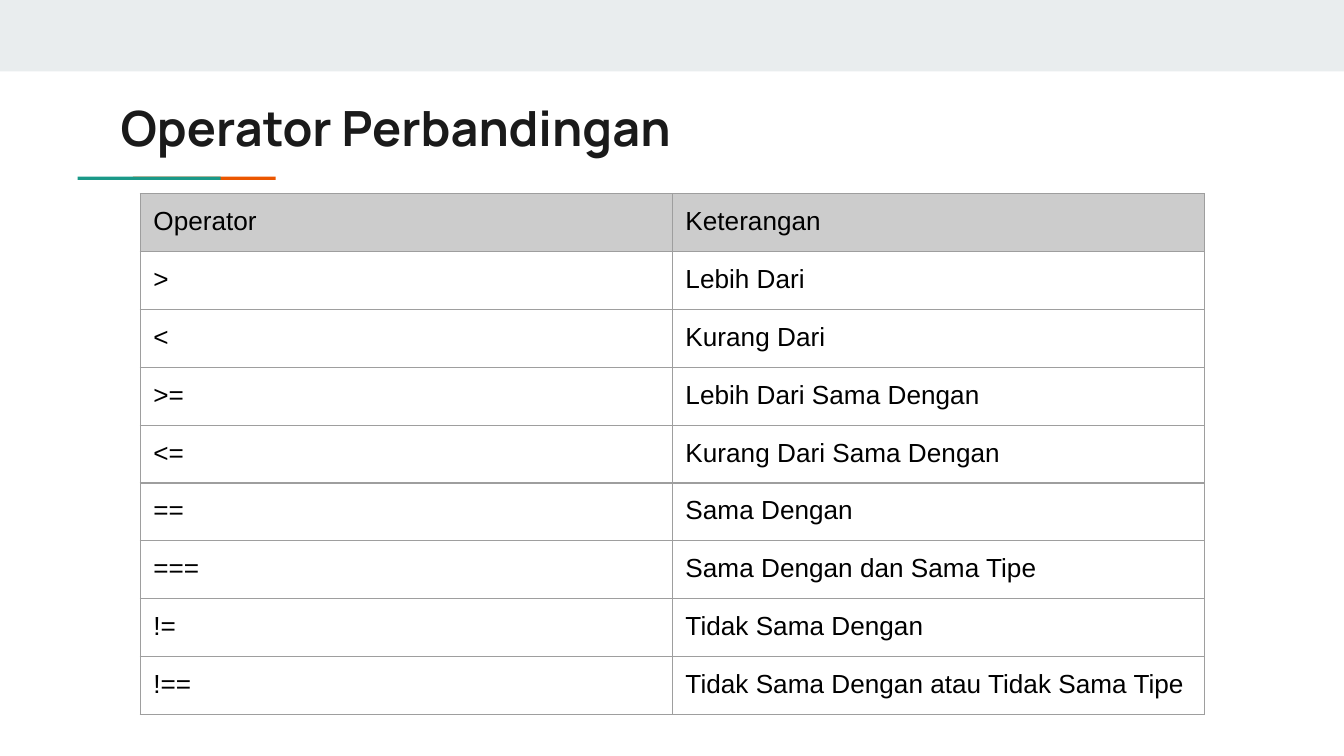
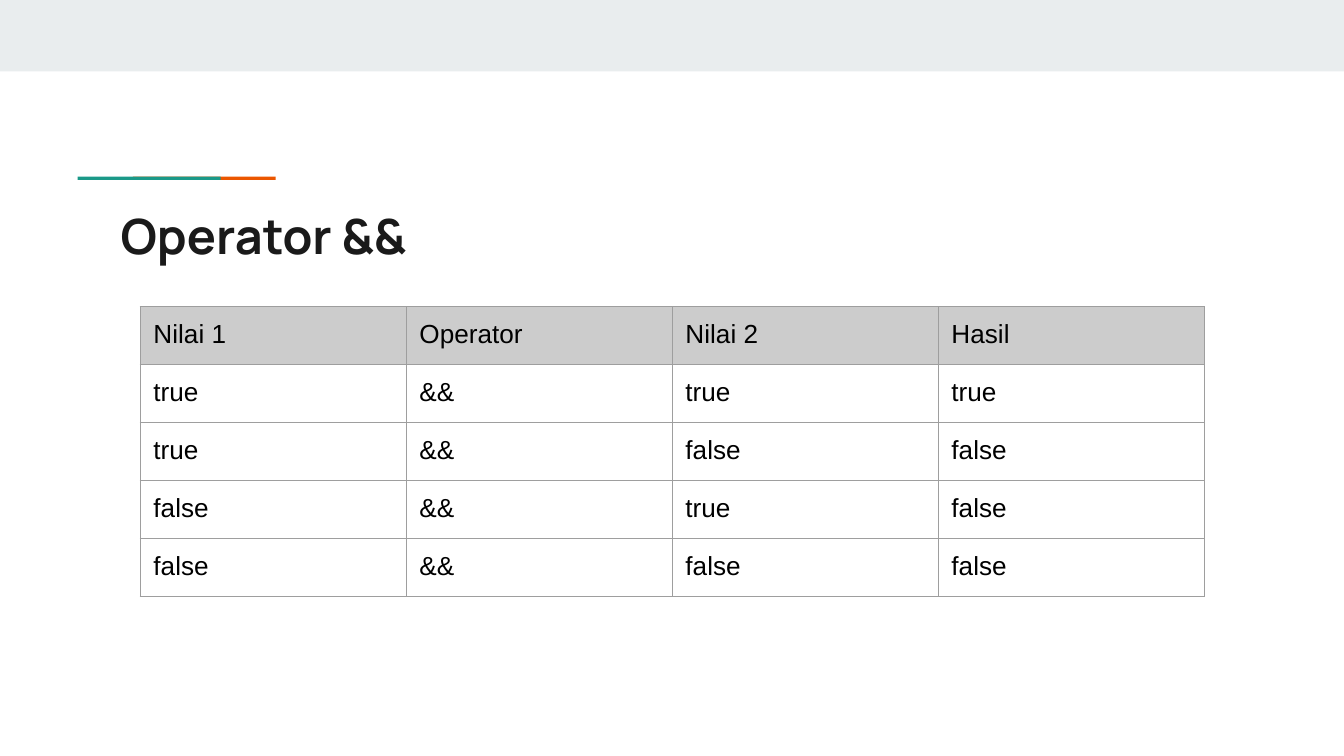
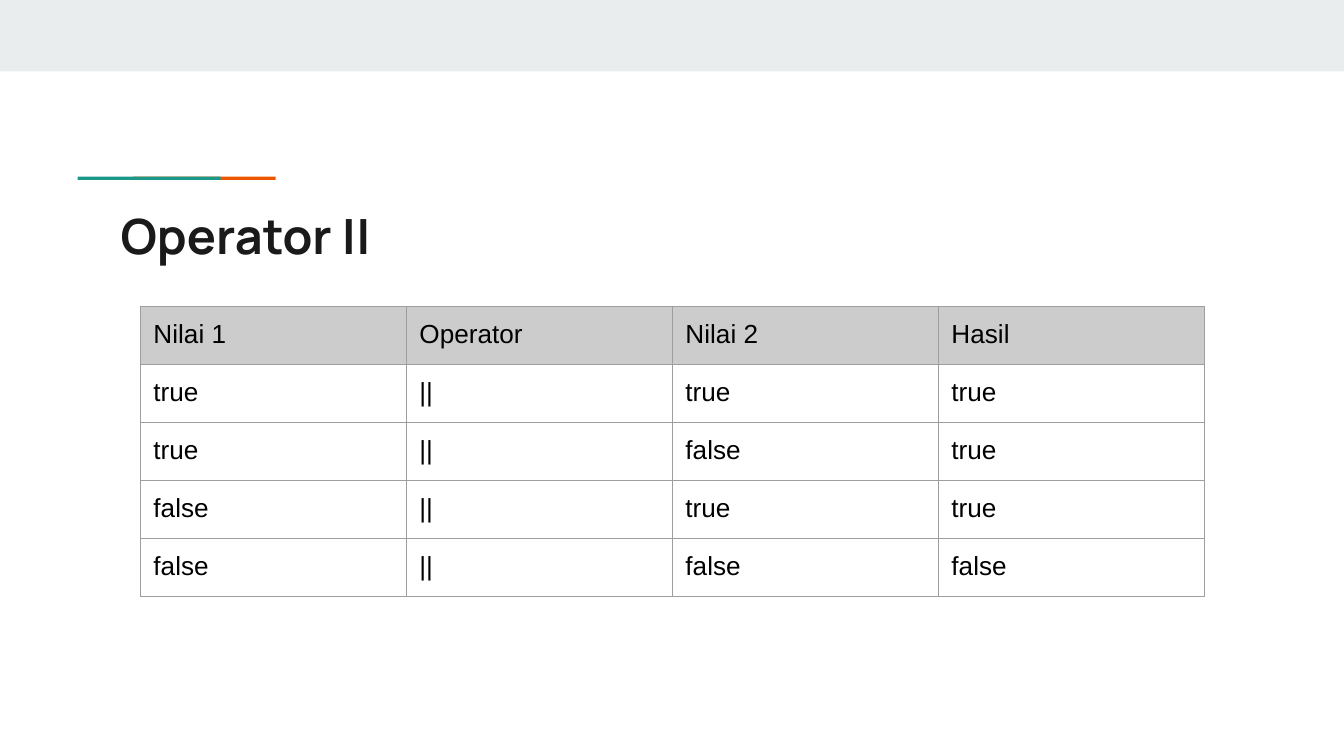
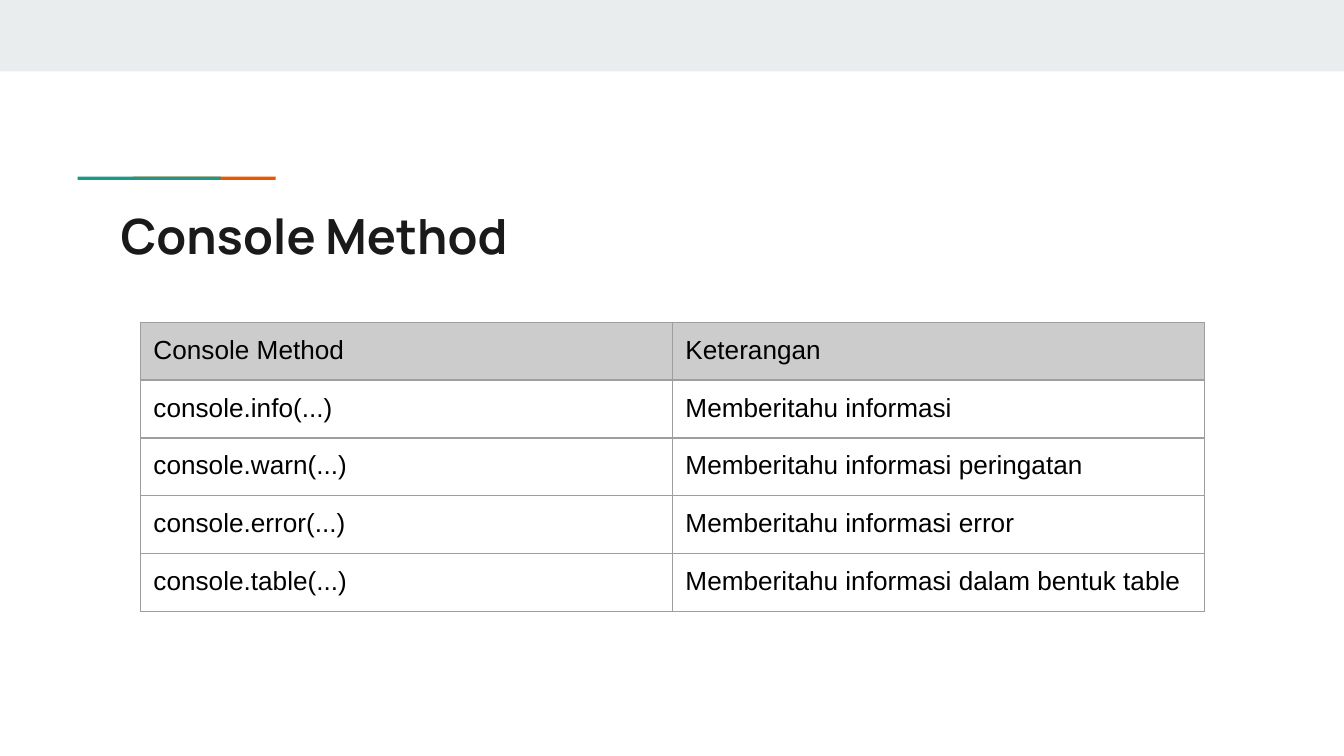
from lxml import etree
from pptx import Presentation
from pptx import util as u
from pptx.dml.color import RGBColor
from pptx.enum import shapes, text
from pptx.oxml.ns import qn

Cm, Pt = u.Cm, u.Pt
WIDE, HIGH = 25.4, 14.29
INSET = 0.25
ROW = 1.06
HUES = {
    "page": "FFFFFF", "band": "E9EDEE", "teal": "1A9988", "orange": "EB5600",
    "title": "1A1A1A", "text": "000000", "head": "CCCCCC", "grid": "9E9E9E",
}


def hue(name):
    return RGBColor.from_string(HUES[name])


class Deck:
    def __init__(self):
        self.file = Presentation()
        self.file.slide_width, self.file.slide_height = Cm(WIDE), Cm(HIGH)
        self.slide = None

    def bar(self, x, y, w, h, fill):
        box = self.slide.shapes.add_shape(
            shapes.MSO_SHAPE.RECTANGLE, Cm(x), Cm(y), Cm(w), Cm(h))
        box.shadow.inherit = False
        box.fill.solid()
        box.fill.fore_color.rgb = hue(fill)
        box.line.fill.background()

    def page(self):
        """Start a slide with its top band and two-tone rule."""
        self.slide = self.file.slides.add_slide(self.file.slide_layouts[6])
        back = self.slide.background.fill
        back.solid()
        back.fore_color.rgb = hue("page")
        self.bar(0, 0, WIDE, 1.35, "band")
        for x, fill in ((2.51, "orange"), (1.47, "teal")):
            self.bar(x, 3.34, 2.7, 0.06, fill)

    def add_words(self, para, words, font, size, color, bold=False):
        run = para.add_run()
        run.text = words
        run.font.name, run.font.size, run.font.bold = font, Pt(size), bold
        run.font.color.rgb = hue(color)

    def inset(self, item):
        """Give a text frame or a cell the same margin on all sides."""
        item.margin_left = item.margin_right = Cm(INSET)
        item.margin_top = item.margin_bottom = Cm(INSET)

    def title(self, words, y):
        box = self.slide.shapes.add_textbox(Cm(2.03), Cm(y), Cm(21.36), Cm(1.5))
        frame = box.text_frame
        frame.word_wrap = True
        frame.vertical_anchor = text.MSO_ANCHOR.TOP
        self.inset(frame)
        self.add_words(frame.paragraphs[0], words, "Manrope", 26, "title", True)

    def edge(self, cell):
        """Draw the four borders of a cell."""
        props = cell._tc.get_or_add_tcPr()
        for side in ("lnL", "lnR", "lnT", "lnB"):
            line = etree.SubElement(props, qn("a:" + side), w=str(Pt(0.75)))
            fill = etree.SubElement(line, qn("a:solidFill"))
            etree.SubElement(fill, qn("a:srgbClr"), val=HUES["grid"])

    def table(self, rows, y):
        wide, count = 20.11, len(rows[0])
        grid = self.slide.shapes.add_table(
            len(rows), count, Cm(2.65), Cm(y), Cm(wide), Cm(ROW * len(rows))).table
        grid.first_row = grid.horz_banding = False
        for col in grid.columns:
            col.width = Cm(wide / count)
        for r, row in enumerate(rows):
            grid.rows[r].height = Cm(ROW)
            for c, words in enumerate(row):
                cell = grid.cell(r, c)
                self.inset(cell)
                self.edge(cell)
                if r == 0:
                    cell.fill.solid()
                    cell.fill.fore_color.rgb = hue("head")
                else:
                    cell.fill.background()
                para = cell.text_frame.paragraphs[0]
                self.add_words(para, words, "Arial", 14, "text")


def truth(sign, rule):
    """Rows of the truth table of a logical operator."""
    rows = [("Nilai 1", "Operator", "Nilai 2", "Hasil")]
    for left in (True, False):
        for right in (True, False):
            one, two, end = (str(v).lower() for v in (left, right, rule((left, right))))
            rows.append((one, sign, two, end))
    return rows


COMPARE = [
    ("Operator", "Keterangan"),
    (">", "Lebih Dari"),
    ("<", "Kurang Dari"),
    (">=", "Lebih Dari Sama Dengan"),
    ("<=", "Kurang Dari Sama Dengan"),
    ("==", "Sama Dengan"),
    ("===", "Sama Dengan dan Sama Tipe"),
    ("!=", "Tidak Sama Dengan"),
    ("!==", "Tidak Sama Dengan atau Tidak Sama Tipe"),
]
METHODS = [
    ("Console Method", "Keterangan"),
    ("console.info(...)", "Memberitahu informasi"),
    ("console.warn(...)", "Memberitahu informasi peringatan"),
    ("console.error(...)", "Memberitahu informasi error"),
    ("console.table(...)", "Memberitahu informasi dalam bentuk table"),
]
PAGES = [
    ("Operator Perbandingan", 1.6, COMPARE, 3.66),
    ("Operator &&", 3.65, truth("&&", all), 5.8),
    ("Operator ||", 3.65, truth("||", any), 5.8),
    ("Console Method", 3.65, METHODS, 6.09),
]


def main():
    deck = Deck()
    for words, top, rows, y in PAGES:
        deck.page()
        deck.title(words, top)
        deck.table(rows, y)
    deck.file.save("out.pptx")


if __name__ == "__main__":
    main()
